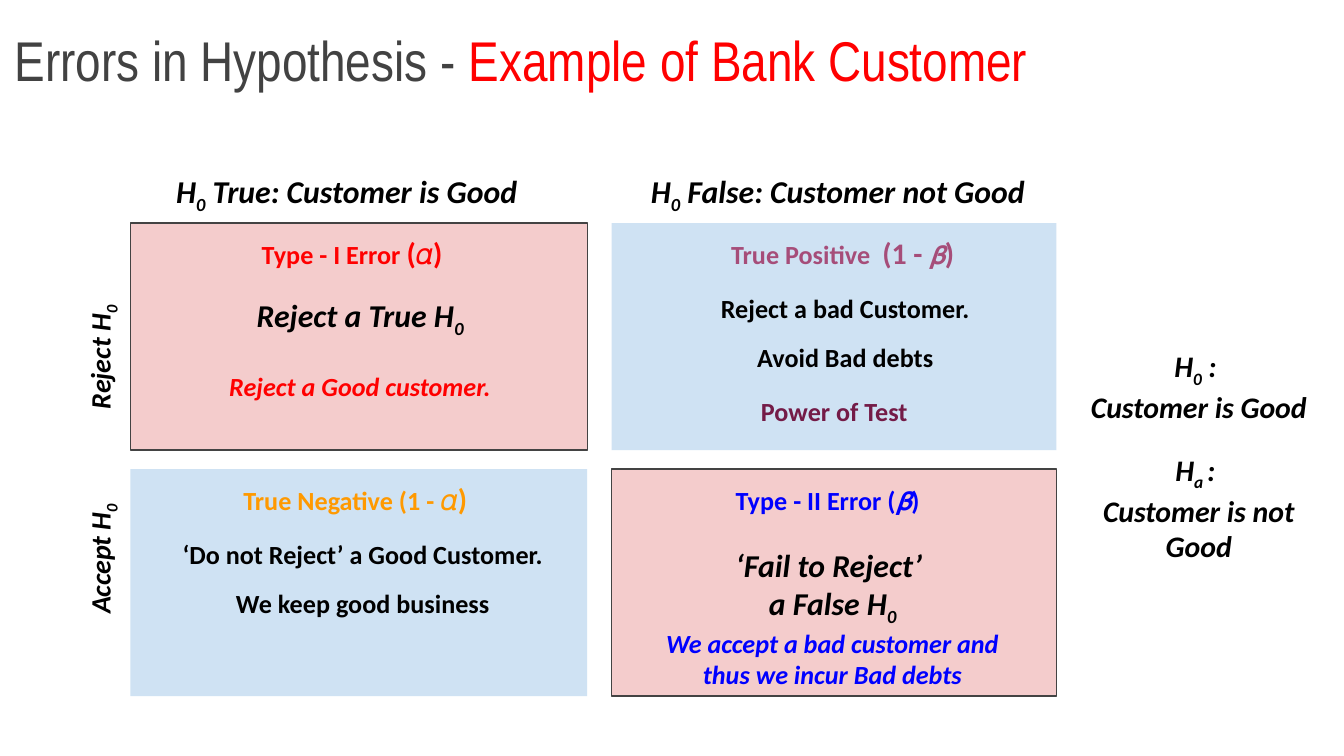
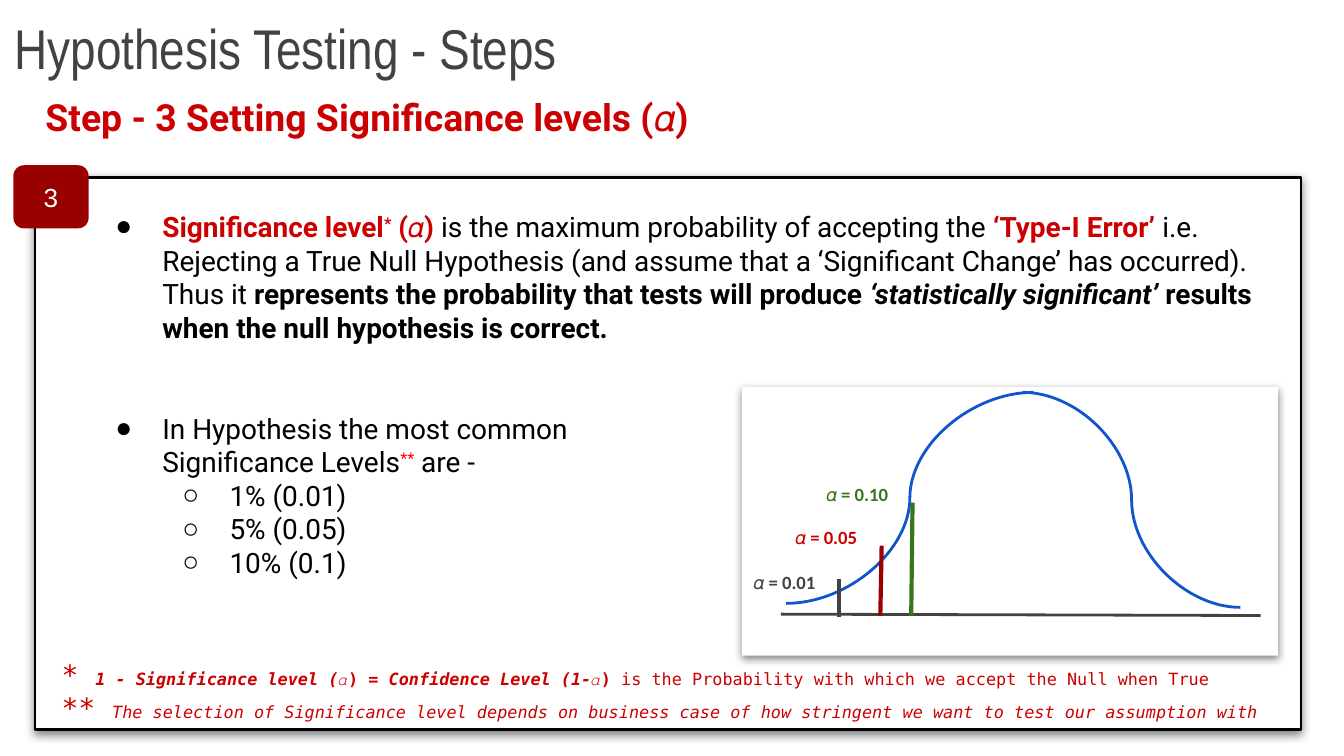
from dataclasses import dataclass
from lxml.etree import SubElement
from pptx import Presentation
from pptx.dml.color import RGBColor
from pptx.enum.shapes import MSO_CONNECTOR, MSO_SHAPE
from pptx.enum.text import MSO_ANCHOR, PP_ALIGN
from pptx.oxml.ns import qn
from pptx.util import Inches, Pt


@dataclass(frozen=True)
class Theme:
    ink: str = "000000"
    paper: str = "FFFFFF"
    grey: str = "424242"
    edge: str = "434343"
    red: str = "FF0000"
    crimson: str = "CC0000"
    maroon: str = "990000"
    orange: str = "FF9900"
    blue: str = "0000FF"
    curve: str = "1155CC"
    green: str = "38761D"
    mauve: str = "A64D79"
    plum: str = "741B47"
    pink: str = "F4CCCC"
    sky: str = "CFE2F3"
    title: int = 30
    step: int = 20
    head: int = 17
    side: int = 16
    axis: int = 15
    body: int = 15
    card: int = 14
    label: int = 10
    note: int = 9
    narrow: str = "Arial Narrow"
    plain: str = "Arial"
    sans: str = "Calibri"
    text: str = "Roboto"
    mono: str = "DejaVu Sans Mono"


T = Theme()


def style(font, size, color=T.ink, bold=False, italic=False, base=0):
    return dict(font=font, size=size, color=color, bold=bold, italic=italic, base=base)


def para(*runs, **format):
    return runs, format


def add_run(line, text, look):
    run = line.add_run()
    run.text = text
    font = run.font
    font.name = look["font"]
    font.size = Pt(look["size"])
    font.bold = look["bold"]
    font.italic = look["italic"]
    font.color.rgb = RGBColor.from_string(look["color"])
    if look["base"]:
        run._r.get_or_add_rPr().set("baseline", str(look["base"] * 1000))


def add_bullet(line, mark, left):
    props = line._p.get_or_add_pPr()
    props.set("marL", str(Inches(left)))
    props.set("indent", str(Inches(-0.35)))
    tint = SubElement(props, qn("a:buClr"))
    SubElement(tint, qn("a:srgbClr"), val=T.ink)
    SubElement(props, qn("a:buFont"), typeface=T.plain)
    SubElement(props, qn("a:buChar"), char=mark)


def fill_text(shape, look, paras, align=PP_ALIGN.LEFT, anchor=MSO_ANCHOR.TOP):
    frame = shape.text_frame
    frame.word_wrap = True
    frame.vertical_anchor = anchor
    frame.margin_left = frame.margin_right = Inches(0.1)
    frame.margin_top = frame.margin_bottom = Inches(0.1)
    for index, (runs, format) in enumerate(paras):
        line = frame.add_paragraph() if index else frame.paragraphs[0]
        line.alignment = align
        if "mark" in format:
            line.level = format.get("level", 0)
            add_bullet(line, format["mark"], 0.5 + 0.5 * line.level)
        if "before" in format:
            line.space_before = Pt(format["before"])
        if "spacing" in format:
            line.line_spacing = format["spacing"]
        for run in runs:
            text, change = (run, {}) if isinstance(run, str) else run
            add_run(line, text, {**look, **change})


def add_text(shapes, box, look, *paras, turn=0, **place):
    shape = shapes.add_textbox(*map(Inches, box))
    shape.rotation = turn
    fill_text(shape, look, paras, **place)
    return shape


def add_center(shapes, box, look, *paras, **place):
    return add_text(shapes, box, look, *paras, align=PP_ALIGN.CENTER, **place)


def add_box(shapes, box, fill, line=None, width=0.75, shadow=False, kind=MSO_SHAPE.RECTANGLE):
    shape = shapes.add_shape(kind, *map(Inches, box))
    shape.shadow.inherit = False
    shape.fill.solid()
    shape.fill.fore_color.rgb = RGBColor.from_string(fill)
    if line:
        shape.line.color.rgb = RGBColor.from_string(line)
        shape.line.width = Pt(width)
    else:
        shape.line.fill.background()
    if shadow:
        effects = shape._element.spPr.find(qn("a:effectLst"))
        drop = SubElement(effects, qn("a:outerShdw"), blurRad=str(Pt(4.5)),
                          dist=str(Pt(1.5)), dir="5400000", algn="bl", rotWithShape="0")
        tint = SubElement(drop, qn("a:srgbClr"), val=T.ink)
        SubElement(tint, qn("a:alpha"), val="50000")
    return shape


def add_line(shapes, start, end, color, width=1.5, kind=MSO_CONNECTOR.STRAIGHT):
    line = shapes.add_connector(kind, *map(Inches, (*start, *end)))
    line.line.color.rgb = RGBColor.from_string(color)
    line.line.width = Pt(width)
    SubElement(line._element.spPr, qn("a:effectLst"))


def add_title(shapes, box, *runs):
    add_text(shapes, box, style(T.narrow, T.title, T.grey), para(*runs),
             anchor=MSO_ANCHOR.BOTTOM)


def low(text):
    return text, dict(base=-25)


def build_errors(shapes):
    add_title(shapes, (0.01, -0.01, 9.32, 0.8), "Errors in Hypothesis - ",
              ("Example of Bank Customer", dict(color=T.red)))

    cols, rows = ((0.97, 3.4), (4.55, 3.31)), (1.66, 3.49)
    for r, top in enumerate(rows):
        for c, (left, width) in enumerate(cols):
            error = r == c
            add_box(shapes, (left, top, width, 1.69), T.pink if error else T.sky,
                    T.edge if error else None)

    big, thin = dict(size=T.side), dict(bold=False, italic=True)
    heads = (
        (0.67, 1.69, 3.9, T.red, 0.85, ("Type - I Error ", ("(𝛼)", big))),
        (1.01, 3.52, 3.31, T.orange, 0.85, ("True Negative (1 - ", ("𝛼)", big), " ")),
        (4.65, 3.52, 3.06, T.blue, 0.95, ("Type - II Error (", ("𝛃", thin), ") ")),
        (4.8, 1.69, 2.94, T.mauve, 0.85,
         ("True Positive  ", ("(1 - ", big), ("𝛃", thin), (")", big))),
        (4.76, 2.86, 2.94, T.plum, 0.95, ("Power of Test ",)),
    )
    for left, top, width, color, gap, runs in heads:
        add_center(shapes, (left, top, width, 0.44),
                   style(T.sans, T.card, color, True), para(*runs, spacing=gap))

    bold = style(T.sans, T.card, bold=True)
    for left, top, first, second in (
        (1.17, 3.94, "‘Do not Reject’ a Good Customer.", "We keep good business"),
        (4.76, 2.11, "Reject a bad Customer.", "Avoid Bad debts"),
    ):
        add_center(shapes, (left, top, 3.06, 0.8), bold, para(first, spacing=0.85),
                   para(second, spacing=0.85, before=12))

    head = style(T.sans, T.head, bold=True, italic=True)
    add_center(shapes, (1.33, 2.1, 2.7, 1.1), head, para("Reject a True H", low("0")),
               para(("Reject a Good customer.", dict(size=T.card, color=T.red)), before=17))
    add_center(shapes, (4.77, 3.96, 2.85, 1.1), head, para("‘Fail to Reject’ "),
               para("a False H", low("0")),
               para(("We accept a bad customer and thus we incur Bad debts",
                     dict(size=T.card, color=T.blue))))
    for left, width, truth in ((0.99, 3.18, " True: Customer is Good"),
                               (4.58, 3.31, " False: Customer not Good")):
        add_center(shapes, (left, 1.18, width, 0.36), head, para("H", low("0"), truth))

    axis = style(T.sans, T.axis, bold=True, italic=True)
    for top, verb in ((2.48, "Reject"), (3.98, "Accept")):
        add_center(shapes, (-0.04, top, 1.47, 0.36), axis,
                   para(f"{verb} H", low("0")), turn=270)

    side = style(T.sans, T.side, bold=True, italic=True)
    for box, sub, colon, claim in (
        ((8.1, 3.26, 1.64, 0.95), "a ", ": ", "Customer is not Good"),
        ((7.91, 2.49, 2.02, 0.8), "0", " : ", "Customer is Good"),
    ):
        add_center(shapes, box, side, para("H", low(sub), colon), para(claim))


def build_plot(shapes):
    add_box(shapes, (5.52, 2.88, 3.99, 2), T.paper, shadow=True)
    for start, end in (((5.85, 4.49), (7.69, 2.92)), ((9.23, 4.52), (7.61, 2.92))):
        add_line(shapes, start, end, T.curve, kind=MSO_CONNECTOR.CURVE)
    add_line(shapes, (5.81, 4.57), (9.38, 4.58), T.grey)
    for top_end, foot, value, bar, ink, left, label in (
        ((6.56, 4.06), (6.55, 4.58), "0.05", T.maroon, T.crimson, 5.82, 3.83),
        ((6.24, 4.31), (6.24, 4.59), "0.01", T.grey, T.grey, 5.51, 4.16),
        ((6.79, 3.74), (6.78, 4.58), "0.10", T.green, T.green, 6.05, 3.51),
    ):
        add_line(shapes, top_end, foot, bar, 2.25)
        add_text(shapes, (left, label, 0.73, 0.32), style(T.sans, T.label, ink, True),
                 para(f"𝛼 = {value}"))


def build_steps(shapes):
    add_box(shapes, (0.26, 1.32, 9.42, 4.11), T.paper, T.ink, 1.5, shadow=True)
    add_text(shapes, (0.24, 0.6, 5.77, 0.73), style(T.text, T.step, T.crimson, True),
             para("Step - 3 Setting Significance levels (𝛼)"))

    body = style(T.text, T.body)
    bold, key = dict(bold=True), dict(bold=True, color=T.crimson)
    add_text(shapes, (0.61, 1.46, 8.9, 1.35), body, para(
        ("Significance level", key), ("*", {**key, "base": 30}), (" (𝛼)", key),
        " is the maximum probability of accepting the ", ("‘Type-I Error’", key),
        " i.e. Rejecting a True Null Hypothesis (and assume that a "
        "‘Significant Change’ has occurred). Thus it ",
        ("represents the probability that tests will produce ", bold),
        ("‘statistically significant’", dict(bold=True, italic=True)),
        (" results when the null hypothesis is correct.", bold), mark="●"))

    build_plot(shapes.add_group_shape().shapes)

    levels = [para(text, mark="○", level=1)
              for text in ("1% (0.01)", "5% (0.05)", "10% (0.1)")]
    panel = add_box(shapes, (0.61, 2.96, 4.74, 1.47), T.paper)
    fill_text(panel, body, [para(
        "In Hypothesis the most common Significance Levels",
        ("**", dict(color=T.red, base=30)), " are -", mark="●"), *levels])

    star = dict(size=T.body, italic=True)
    slant = dict(bold=True, italic=True)
    add_text(shapes, (0.36, 4.79, 9.22, 0.63), style(T.mono, T.note, T.crimson),
             para(("* ", star), ("1 - Significance level (", slant), ("𝛼)", bold),
                  (" = Confidence Level (1-", slant), ("𝛼)", bold),
                  " is the Probability with which we accept the Null when True"),
             para(("** ", star),
                  ("The selection of Significance level depends on business case of how "
                   "stringent we want to test our assumption with", dict(italic=True))))

    badge = add_box(shapes, (0.1, 1.23, 0.56, 0.47), T.maroon,
                    kind=MSO_SHAPE.ROUNDED_RECTANGLE)
    fill_text(badge, style(T.plain, T.card, T.paper), [para("3")],
              PP_ALIGN.CENTER, MSO_ANCHOR.MIDDLE)
    add_title(shapes, (0.01, 0.07, 5.89, 0.63), "Hypothesis Testing - Steps")


def main():
    deck = Presentation()
    deck.slide_width = Inches(10)
    deck.slide_height = Inches(10 * 9 / 16)
    for build in (build_errors, build_steps):
        build(deck.slides.add_slide(deck.slide_layouts[6]).shapes)
    deck.save("out.pptx")


if __name__ == "__main__":
    main()
